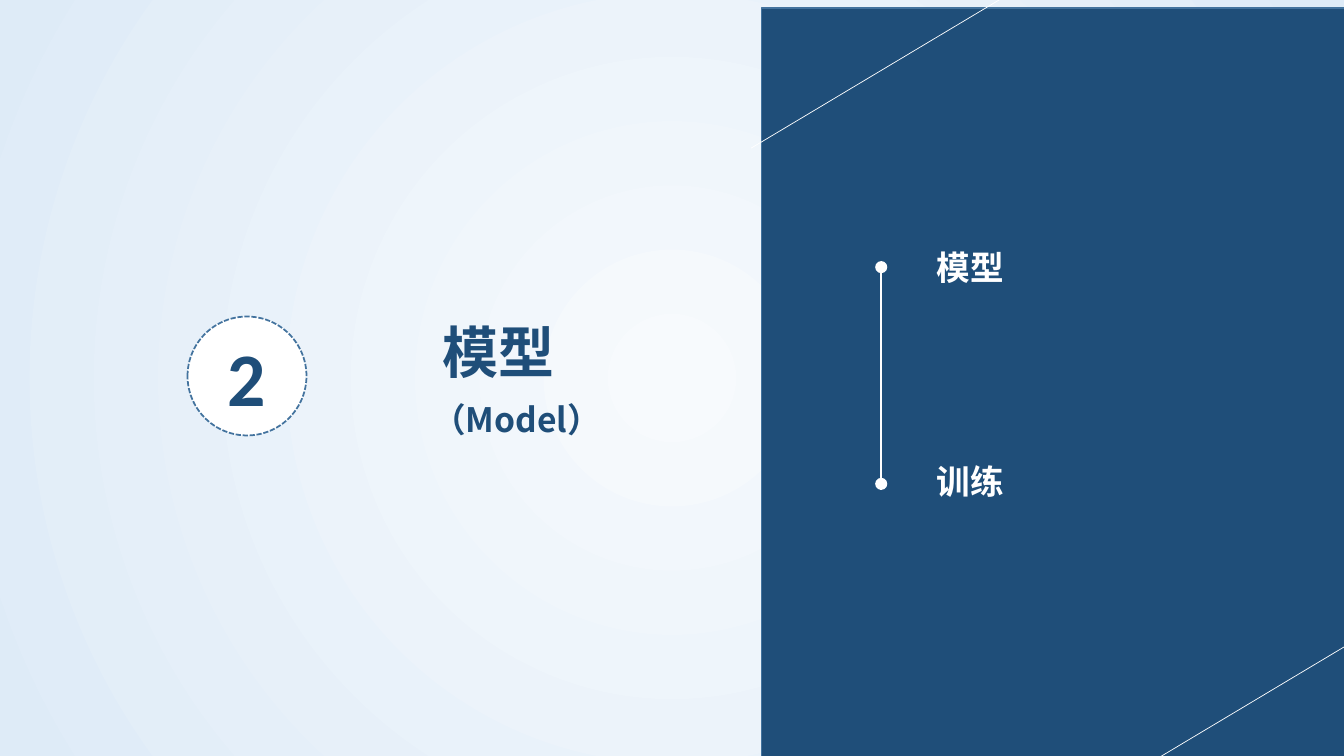
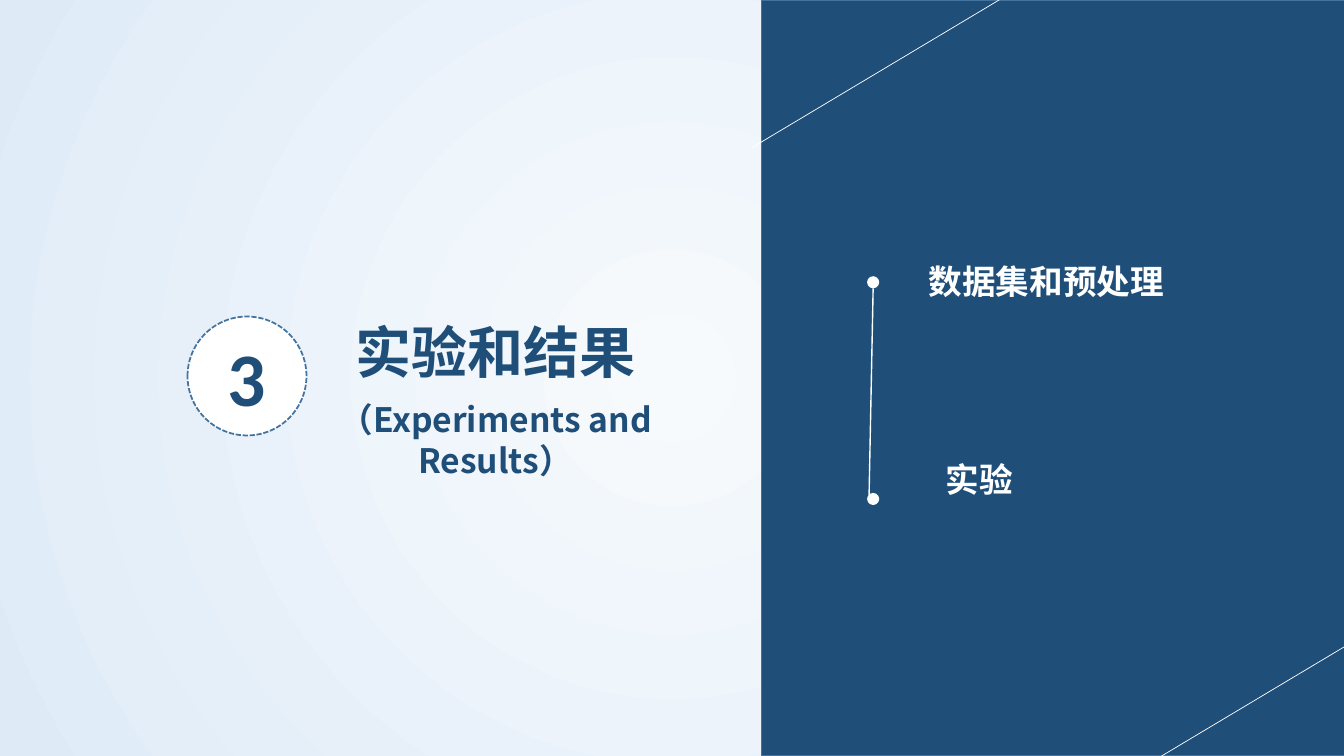
"""Build two section-divider slides with a number badge and a topic panel."""
from dataclasses import dataclass

from lxml import etree
from pptx import Presentation
from pptx.dml.color import RGBColor
from pptx.enum.dml import MSO_LINE
from pptx.enum.shapes import MSO_CONNECTOR, MSO_SHAPE
from pptx.enum.text import MSO_ANCHOR, MSO_AUTO_SIZE, PP_ALIGN
from pptx.oxml.ns import qn
from pptx.util import Inches, Pt

COLORS = {
    "navy": "1F4E79",
    "outline": "43739E",
    "white": "FFFFFF",
    "glow": "F7FAFD",
    "edge": "DEEBF7",
}
CHINESE_FONT = "Noto Sans CJK SC"
NUMBER_FONT = "Calibri"
PANEL_LEFT, PANEL_WIDTH, PANEL_HEIGHT = 7.55, 5.79, 7.5
DOT_SIZE = 0.12
TITLE_TOP, SUBTITLE_TOP = 3.1, 3.91


@dataclass
class Box:
    """A rectangle in inches."""

    left: float
    top: float
    width: float
    height: float

    def lengths(self):
        """Return the four sides as lengths."""
        return [Inches(side) for side in (self.left, self.top, self.width, self.height)]


@dataclass
class Section:
    """The wording and placement of one divider slide."""

    number: str
    title: str
    title_box: Box
    subtitle: str
    subtitle_box: Box
    panel_top: float
    dots: Box
    line_end: tuple
    topics: list


def color(name):
    """Return a palette colour."""
    return RGBColor.from_string(COLORS[name])


def set_background(deck):
    """Give the master a circular gradient."""
    fill = deck.slide_master.background.fill
    fill.gradient()
    for stop, name, position in zip(fill.gradient_stops, ("glow", "edge"), (0, 1)):
        stop.color.rgb = color(name)
        stop.position = position
    gradient = deck.slide_master.element.find(".//" + qn("p:bgPr")).find(qn("a:gradFill"))
    gradient.remove(gradient.find(qn("a:lin")))
    circle = etree.SubElement(gradient, qn("a:path"), path="circle")
    etree.SubElement(circle, qn("a:fillToRect"), l="50000", t="50000", r="50000", b="50000")


def style_paragraph(para, size, ink, font=CHINESE_FONT, align=PP_ALIGN.CENTER):
    """Format a bold paragraph without a bullet."""
    properties = para._p.get_or_add_pPr()
    properties.set("marL", "0")
    properties.set("indent", "0")
    para.alignment = align
    para.space_before = Pt(0)
    etree.SubElement(properties, qn("a:buNone"))
    para.font.size = Pt(size)
    para.font.bold = True
    para.font.name = font
    para.font.color.rgb = color(ink)
    defaults = properties.find(qn("a:defRPr"))
    etree.SubElement(defaults, qn("a:ea"), typeface=font)


def fill_placeholder(page, index, text, box, size, ink, align=PP_ALIGN.CENTER):
    """Move a placeholder to the front, place it and write its text."""
    holder = next(p for p in page.placeholders if p.placeholder_format.idx == index)
    holder.left, holder.top, holder.width, holder.height = box.lengths()
    holder.element.getparent().append(holder.element)
    frame = holder.text_frame
    frame.text = text
    frame.word_wrap = True
    frame.auto_size = MSO_AUTO_SIZE.SHAPE_TO_FIT_TEXT
    frame.vertical_anchor = MSO_ANCHOR.TOP
    style_paragraph(frame.paragraphs[0], size, ink, align=align)


def add_figure(page, kind, box, fill, outline=None, weight=1):
    """Add a flat filled shape."""
    figure = page.shapes.add_shape(kind, *box.lengths())
    figure.shadow.inherit = False
    figure.fill.solid()
    figure.fill.fore_color.rgb = color(fill)
    if outline:
        figure.line.color.rgb = color(outline)
        figure.line.width = Pt(weight)
    else:
        figure.line.fill.background()
    return figure


def add_line(page, start, end, weight):
    """Add a white straight line."""
    points = [Inches(value) for value in (*start, *end)]
    line = page.shapes.add_connector(MSO_CONNECTOR.STRAIGHT, *points)
    line.line.color.rgb = color("white")
    line.line.width = Pt(weight)
    etree.SubElement(line.element.spPr, qn("a:effectLst"))


def draw_badge(page, box, number):
    """Draw the dashed circle with the section number."""
    badge = add_figure(page, MSO_SHAPE.OVAL, box, "white", "outline", 1.25)
    badge.line.dash_style = MSO_LINE.SQUARE_DOT
    frame = badge.text_frame
    frame.text = number
    frame.vertical_anchor = MSO_ANCHOR.MIDDLE
    style_paragraph(frame.paragraphs[0], 54, "navy", NUMBER_FONT)


def draw_panel(page, box):
    """Draw the navy panel and its two corner diagonals."""
    add_figure(page, MSO_SHAPE.RECTANGLE, box, "navy", "outline")
    for right, top in ((2.81, -0.27), (6.43, 6.03)):
        start = (box.left + right, top)
        add_line(page, start, (start[0] - 2.91, top + 1.74), 0.5)


def draw_timeline(page, box, line_end):
    """Draw a dot at each end of the box and the line between them."""
    middle = box.left + box.width / 2
    add_line(page, (middle, box.top + DOT_SIZE), line_end, 1)
    for top in (box.top, box.top + box.height - DOT_SIZE):
        add_figure(page, MSO_SHAPE.OVAL, Box(box.left, top, DOT_SIZE, DOT_SIZE), "white")


def build_section(deck, section):
    """Add one divider slide."""
    page = deck.slides.add_slide(deck.slide_layouts.get_by_name("Comparison"))
    draw_badge(page, Box(1.86, 3.14, 1.18, 1.18), section.number)
    draw_panel(page, Box(PANEL_LEFT, section.panel_top, PANEL_WIDTH, PANEL_HEIGHT))
    draw_timeline(page, section.dots, section.line_end)
    fill_placeholder(page, 0, section.title, section.title_box, 40, "navy")
    fill_placeholder(page, 1, section.subtitle, section.subtitle_box, 24, "navy")
    for index, (text, box) in enumerate(section.topics, start=2):
        fill_placeholder(page, index, text, box, 24, "white", PP_ALIGN.LEFT)
    for holder in list(page.placeholders):
        if not holder.text_frame.text:
            holder.element.getparent().remove(holder.element)


SECTIONS = [
    Section(
        number="2",
        title="模型",
        title_box=Box(3.19, TITLE_TOP, 3.51, 0.77),
        subtitle="（Model）",
        subtitle_box=Box(3.56, SUBTITLE_TOP, 3.13, 0.5),
        panel_top=0.08,
        dots=Box(8.68, 2.59, DOT_SIZE, 2.27),
        line_end=(8.74, 4.86),
        topics=[("模型", Box(9.19, 2.4, 1.96, 0.5)), ("训练", Box(9.19, 4.52, 1.96, 0.5))],
    ),
    Section(
        number="3",
        title="实验和结果",
        title_box=Box(3.16, TITLE_TOP, 3.51, 0.77),
        subtitle="（Experiments and Results）",
        subtitle_box=Box(2.84, SUBTITLE_TOP, 4.15, 0.91),
        panel_top=0,
        dots=Box(8.6, 2.74, DOT_SIZE, 2.27),
        line_end=(8.62, 4.91),
        topics=[
            ("数据集和预处理", Box(9.11, 2.54, 2.72, 0.5)),
            ("实验", Box(9.28, 4.5, 2.45, 0.5)),
        ],
    ),
]


def main():
    """Build and save the deck."""
    deck = Presentation()
    deck.slide_width, deck.slide_height = Inches(13.33), Inches(7.5)
    set_background(deck)
    for section in SECTIONS:
        build_section(deck, section)
    deck.save("out.pptx")


if __name__ == "__main__":
    main()
